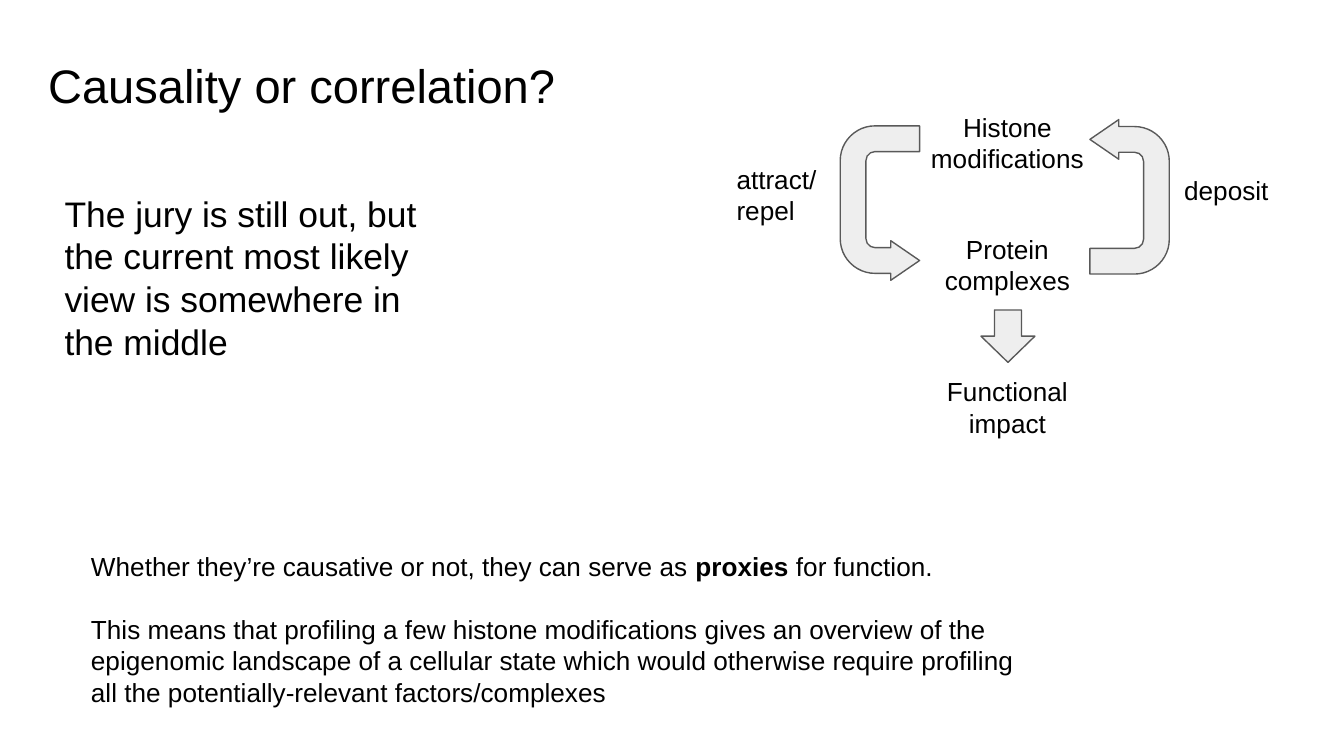
from pptx import Presentation
from pptx.dml.color import RGBColor
from pptx.enum.shapes import MSO_SHAPE as Shape
from pptx.enum.text import MSO_ANCHOR as Anchor, PP_ALIGN as Align
from pptx.util import Cm, Pt

FONT, BLACK, PALE, GREY = "Arial", "000000", "EEEEEE", "595959"
PAD = Cm(0.25)


def color(code):
    return RGBColor.from_string(code)


def add_text(slide, box, lines, size=14, align=Align.LEFT, gap=0):
    """Each line is a list of (words, bold) runs or a plain string."""
    frame = slide.shapes.add_textbox(*map(Cm, box)).text_frame
    frame.word_wrap = True
    frame.vertical_anchor = Anchor.TOP
    frame.margin_left = frame.margin_right = PAD
    frame.margin_top = frame.margin_bottom = PAD
    for i, line in enumerate(lines):
        para = frame.add_paragraph() if i else frame.paragraphs[0]
        para.alignment = align
        if i and gap:
            para.space_before = Pt(gap)
        for words, bold in [(line, False)] if isinstance(line, str) else line:
            run = para.add_run()
            run.text = words
            font = run.font
            font.name, font.size, font.bold = FONT, Pt(size), bold
            font.color.rgb = color(BLACK)


def add_arrow(slide, kind, box, ratios, turn=0, flip=False):
    arrow = slide.shapes.add_shape(kind, *map(Cm, box))
    arrow.shadow.inherit = False
    for i, ratio in enumerate(ratios):
        arrow.adjustments[i] = ratio
    arrow.rotation = turn
    if flip:
        arrow._element.spPr.xfrm.set("flipH", "1")
    arrow.fill.solid()
    arrow.fill.fore_color.rgb = color(PALE)
    arrow.line.color.rgb = color(GREY)
    arrow.line.width = Pt(0.75)


def add_cycle(slide, left, top):
    """Feedback loop of marks and proteins, leading to the impact."""
    # Stages, all in one column
    stages = [
        (0, ["Histone", "modifications"]),
        (2.31, ["Protein complexes"]),
        (5, ["Functional", "impact"]),
    ]
    for drop, lines in stages:
        add_text(slide, (left + 3.48, top + drop, 3.78, 1.7), lines,
                 align=Align.CENTER)

    # Arrows between the stages
    bend = (0.324, 0.25, 0.364, 0.438, 1)
    for x, y, turn in [(1.5, 1.24, 270), (6.22, 1.12, 90)]:
        add_arrow(slide, Shape.U_TURN_ARROW,
                  (left + x, top + y, 2.92, 1.5), bend, turn, True)
    add_arrow(slide, Shape.DOWN_ARROW,
              (left + 4.87, top + 4.01, 1.02, 0.99), (0.5, 0.5))

    # Labels beside the loop
    add_text(slide, (left, top + 0.99, 2.41, 1.7), ["attract/", "repel"])
    add_text(slide, (left + 8.46, top + 1.19, 2.41, 1.12), ["deposit"])


def add_notes(slide, left, top):
    """Closing remarks along the foot of the slide."""
    add_text(slide, (left, top, 18.47, 3.5), [
        [("Whether they’re causative or not, they can serve as ", False),
         ("proxies", True), (" for function.", False)],
        "This means that profiling a few histone modifications gives an "
        "overview of the epigenomic landscape of a cellular state which would "
        "otherwise require profiling all the potentially-relevant "
        "factors/complexes",
    ], gap=16.8)


def main():
    deck = Presentation()
    deck.slide_width, deck.slide_height = Cm(25.4), Cm(14.29)
    slide = deck.slides.add_slide(deck.slide_layouts[6])

    # Title and main claim
    add_text(slide, (0.66, 0.81, 23.67, 1.6), ["Causality or correlation?"],
             size=25.2)
    add_text(slide, (0.97, 3.38, 7.54, 3.76),
             ["The jury is still out, but the current most likely view is "
              "somewhere in the middle"], size=19)

    add_cycle(slide, 13.67, 1.85)
    add_notes(slide, 1.47, 10.16)
    deck.save("out.pptx")


if __name__ == "__main__":
    main()
